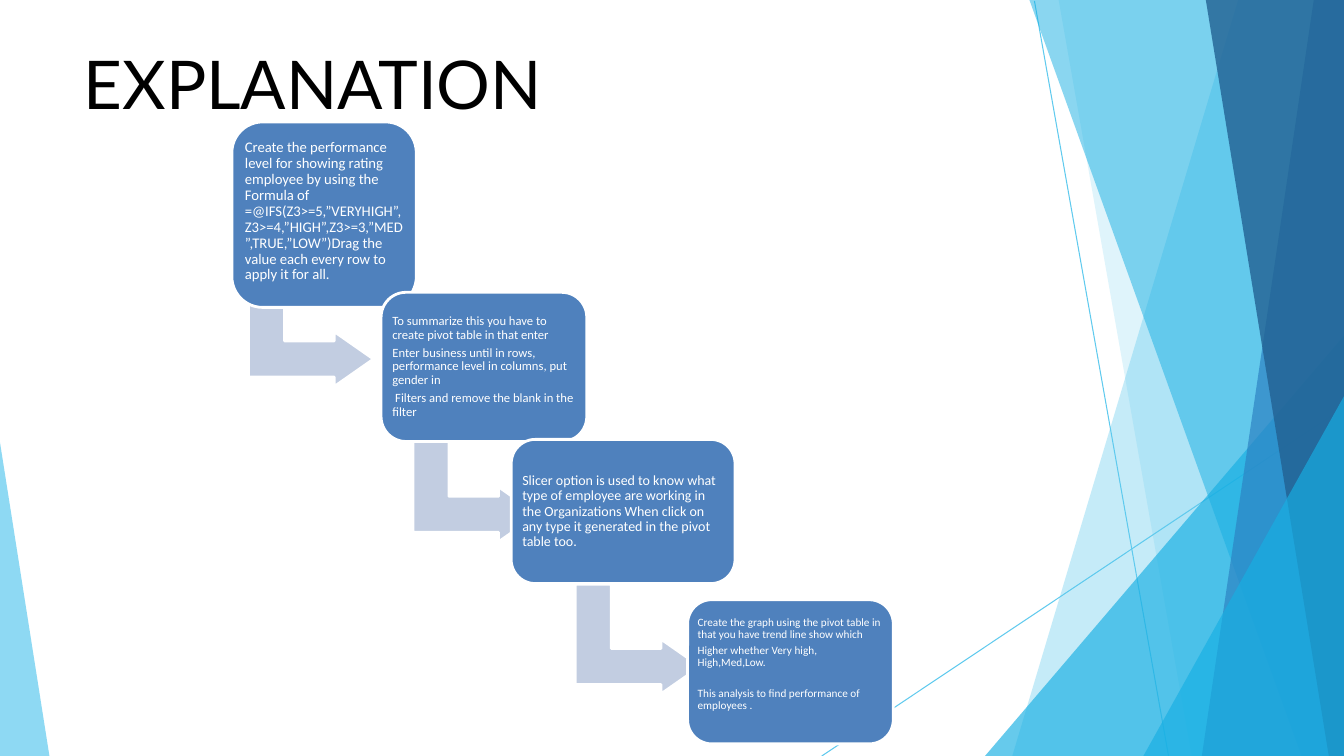
"""Build the explanation slide: four stepped boxes on a faceted background."""
from lxml.etree import SubElement
from pptx import Presentation
from pptx.dml.color import RGBColor
from pptx.enum.shapes import MSO_CONNECTOR, MSO_SHAPE
from pptx.enum.text import MSO_ANCHOR, PP_ALIGN
from pptx.oxml.ns import qn
from pptx.util import Inches, Pt

WIDTH, HEIGHT = 13.33, 7.5

THEME = {
    "font": "Calibri", "title_font": "Lato", "title_size": 48,
    "title": "000000", "text": "FFFFFF", "box": "4F81BD", "arrow": "C2CDE1",
    "sky": "5FCAEE", "cyan": "17AFE3", "blue": "2D83C3", "navy": "226192",
    "edge": 2, "hairline": 0.75, "line_spacing": 0.9, "space_ratio": 0.35,
}

TITLE = "EXPLANATION"

HAIRLINES = [((10.26, 0.01), (11.59, HEIGHT)), ((WIDTH, 4.04), (8.15, HEIGHT))]


def right_panel(top_left, bottom_left):
    """Outline a panel that fills the slide's right edge from top to bottom."""
    return [(WIDTH, 0), (top_left, 0), (bottom_left, HEIGHT), (WIDTH, HEIGHT)]


def right_corner(top, left):
    """Outline a triangle in the slide's bottom right corner."""
    return [(WIDTH, top), (left, HEIGHT), (WIDTH, HEIGHT)]


PANELS = [
    ("sky", 36, right_panel(12.28, 10.04)),
    ("sky", 20, right_panel(10.5, 11.82)),
    ("cyan", 66, right_corner(3.33, 9.77)),
    ("cyan", 50, right_panel(10.21, 12.91)),
    ("blue", 70, right_panel(13.03, 11.92)),
    ("navy", 80, right_panel(11.96, 13.18)),
    ("cyan", 66, right_corner(3.93, 11.34)),
    ("sky", 70, [(0, 4.39), (0, HEIGHT), (0.49, HEIGHT)]),
]

ARROW_SIZE = (1.09, 1.24)
ARROW_SHAPE = (0.328, 0.25, 0.358)
CORNER = 0.167

STEPS = [
    {"frame": (2.3, 1.21, 1.83, 1.84), "arrow": (2.54, 2.67),
     "size": 10.5, "inset": 0.04, "lift": 0.06,
     "text": ["Create the performance level for showing rating employee by using the "
              "Formula of =@IFS(Z3>=5,”VERYHIGH”,Z3>=4,”HIGH”,Z3>=3,”MED”,TRUE,”LOW”)"
              "Drag the value each every row to apply it for all."]},
    {"frame": (3.78, 2.9, 2.04, 1.48), "arrow": (4.17, 4.21),
     "size": 9, "inset": 0.04,
     "text": ["To summarize this you have to create pivot table in that enter",
              "Enter business until in rows, performance level in columns, put gender in",
              " Filters and remove the blank in the filter"]},
    {"frame": (5.07, 4.36, 2.22, 1.43), "arrow": (5.78, 5.72),
     "size": 10, "inset": 0.04,
     "text": ["Slicer option is used to know what type of employee are working in the "
              "Organizations When click on any type it generated in the pivot table too."]},
    {"frame": (6.82, 5.95, 2.04, 1.43),
     "size": 8, "inset": 0.03, "lift": 0.15, "gap_before": {2: 11},
     "text": ["Create the graph using the pivot table in that you have trend line show which",
              "Higher whether Very high, High,Med,Low.",
              "This analysis to find performance of employees ."]},
]


def color(name):
    return RGBColor.from_string(THEME[name])


def add_span(para, text, font, size, color_name):
    span = para.add_run()
    span.text = text
    span.font.name = font
    span.font.size = Pt(size)
    span.font.color.rgb = color(color_name)


def add_hairline(page, start, end):
    line = page.shapes.add_connector(
        MSO_CONNECTOR.STRAIGHT, *(Inches(value) for value in start + end))
    line.line.color.rgb = color("sky")
    line.line.width = Pt(THEME["hairline"])
    SubElement(line._element.spPr, qn("a:effectLst"))


def add_panel(page, color_name, opacity, points):
    corners = [(Inches(left), Inches(top)) for left, top in points]
    builder = page.shapes.build_freeform(*corners[0])
    builder.add_line_segments(corners[1:], close=True)
    panel = builder.convert_to_shape()
    panel.shadow.inherit = False
    panel.fill.solid()
    panel.fill.fore_color.rgb = color(color_name)
    panel.line.fill.background()
    tint = panel._element.spPr.find(qn("a:solidFill"))[0]
    SubElement(tint, qn("a:alpha")).set("val", str(opacity * 1000))


def add_block(page, kind, frame, color_name, adjustments):
    block = page.shapes.add_shape(kind, *(Inches(value) for value in frame))
    block.shadow.inherit = False
    block.fill.solid()
    block.fill.fore_color.rgb = color(color_name)
    block.line.color.rgb = color("text")
    block.line.width = Pt(THEME["edge"])
    for index, value in enumerate(adjustments):
        block.adjustments[index] = value
    return block


def add_step(page, step):
    if "arrow" in step:
        arrow = add_block(page, MSO_SHAPE.BENT_UP_ARROW, step["arrow"] + ARROW_SIZE,
                          "arrow", ARROW_SHAPE)
        arrow.rotation = 90
    box = add_block(page, MSO_SHAPE.ROUNDED_RECTANGLE, step["frame"], "box", [CORNER])
    body = box.text_frame
    body.word_wrap = True
    body.vertical_anchor = MSO_ANCHOR.MIDDLE
    body.margin_left = body.margin_right = body.margin_top = Inches(step["inset"])
    body.margin_bottom = Inches(step["inset"] + step.get("lift", 0))
    for index, text in enumerate(step["text"]):
        para = body.add_paragraph() if index else body.paragraphs[0]
        para.alignment = PP_ALIGN.LEFT
        para.line_spacing = THEME["line_spacing"]
        para.space_before = Pt(step.get("gap_before", {}).get(index, 0))
        para.space_after = Pt(step["size"] * THEME["space_ratio"])
        add_span(para, text, THEME["font"], step["size"], "text")


def add_title(page):
    box = page.shapes.add_textbox(Inches(0.83), Inches(0.42), Inches(11.68), Inches(0.83))
    body = box.text_frame
    body.word_wrap = True
    body.margin_left = body.margin_right = body.margin_top = body.margin_bottom = 0
    add_span(body.paragraphs[0], TITLE, THEME["title_font"], THEME["title_size"], "title")


def main():
    deck = Presentation()
    deck.slide_width, deck.slide_height = Inches(WIDTH), Inches(HEIGHT)
    page = deck.slides.add_slide(deck.slide_layouts[6])
    for start, end in HAIRLINES:
        add_hairline(page, start, end)
    for panel in PANELS:
        add_panel(page, *panel)
    add_title(page)
    for step in STEPS:
        add_step(page, step)
    deck.save("out.pptx")


if __name__ == "__main__":
    main()
